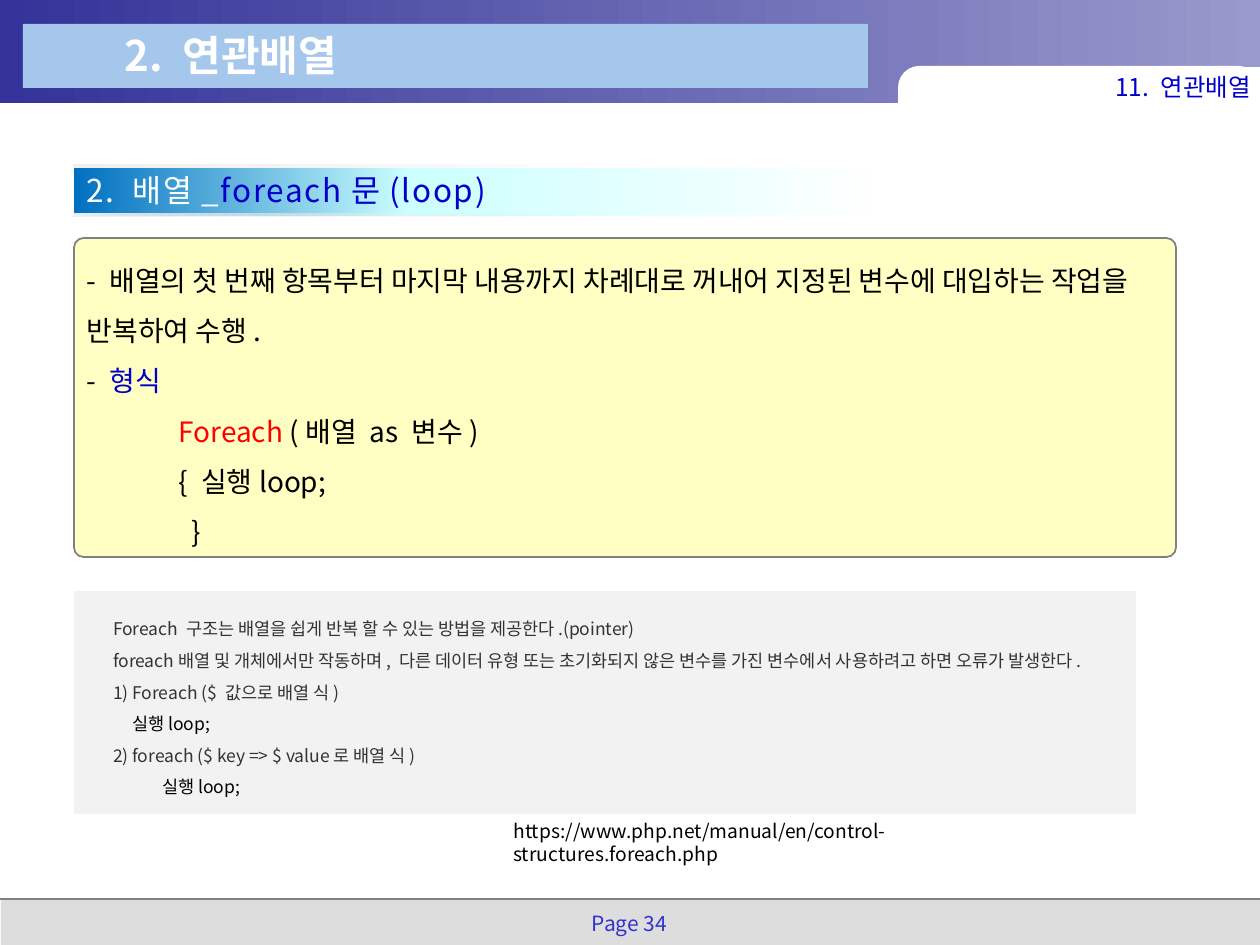
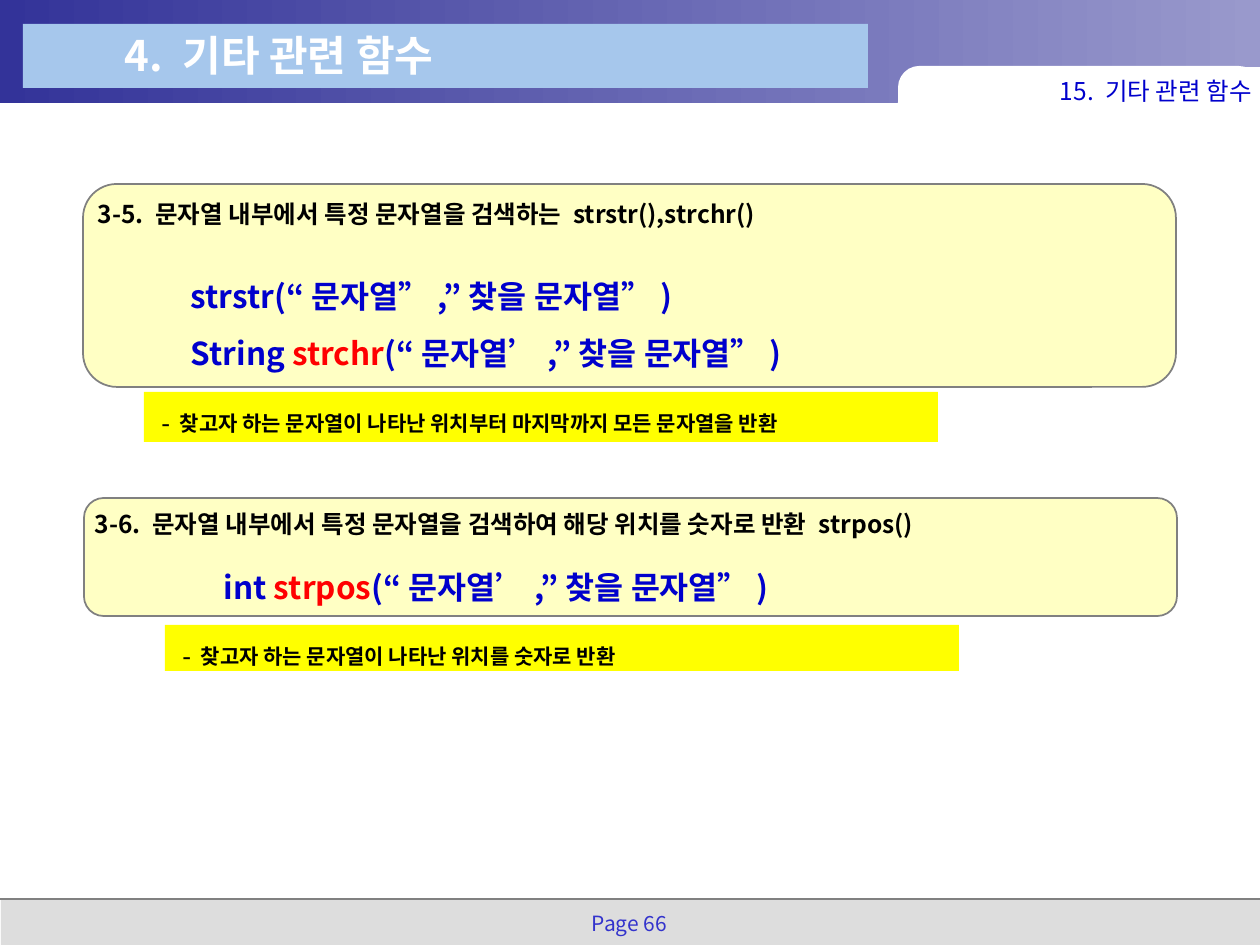
"""Build two lecture slides on associative arrays and string functions."""
import pptx
import pptx.util
import pptx.dml.color
import pptx.enum.shapes
import pptx.enum.text
import pptx.oxml.ns
import lxml.etree

THEME = {
    "font": "Noto Sans CJK KR", "latin": "Cabin",
    "white": "FFFFFF", "black": "000000", "blue": "0000CC", "red": "FF0000",
    "ink": "333333", "page": "3333CC", "foot": "DDDDDD", "rule": "808080",
    "plate": "A6C7EC", "note": "F2F2F2", "yellow": "FFFF00",
    "band": [(0, "333399", 100), (100, "9999CC", 100)],
    "head": [(0, "0070C0", 100), (40, "CCFFFF", 100), (97, "FFFFFF", 100)],
    "edge": [(0, "F0F0F0", 100), (100, "EAEAEA", 0)],
    "title": 24, "topic": 18, "body": 16, "label": 14, "small": 12, "link": 11, "fine": 10,
}

FRAME = [
    ("rect", (1, 900, 1259, 45), "foot"),
    ("rect", (0, 0, 1260, 103), "band"),
    ("round", (898, 66, 362, 74), "white", 0.29),
    ("rect", (1147, 67, 113, 30), "white"),
    ("rect", (23, 24, 845, 64), "plate"),
]

HEAD = {
    "at": (74, 165, 844, 50),
    "bars": [((74, 168, 840, 48), "head"), ((74, 165, 530, 3), "edge"), ((74, 214, 530, 3), "edge")],
    "runs": [("2. 배열_", "white"), ("foreach문(loop)", "blue")],
}

SLIDES = [
    {
        "title": "2. 연관배열", "label": "11. 연관배열", "spot": (1017, 67, 239, 40),
        "page": "Page 34", "head": HEAD,
        "boxes": [
            {"at": (74, 238, 1102, 319), "kind": "round", "fill": "yellow", "clear": 23,
             "bend": 0.03, "size": "body", "lead": 1.5, "pad": 5, "mid": True,
             "text": [
                 {"in": 5, "runs": [("- 배열의 첫 번째 항목부터 마지막 내용까지 차례대로 꺼내어 "
                                     "지정된 변수에 대입하는 작업을 반복하여 수행.", "black")]},
                 {"in": 5, "runs": [("- ", "black"), ("형식", "blue")]},
                 {"in": 97, "runs": [("Foreach", "red"), (" (배열 as 변수)", "black")]},
                 {"in": 97, "runs": [("{ 실행loop;", "black")]},
                 {"in": 110, "runs": [("}", "black")]},
             ]},
            {"at": (74, 591, 1062, 223), "fill": "note", "size": "fine", "lead": 1.5,
             "pad": 0, "mid": True,
             "text": [
                 {"in": 39, "runs": [("Foreach 구조는 배열을 쉽게 반복 할 수 있는 방법을 "
                                      "제공한다.(pointer)", "ink")]},
                 {"in": 39, "runs": [("foreach배열 및 개체에서만 작동하며, 다른 데이터 유형 또는 "
                                      "초기화되지 않은 변수를 가진 변수에서 사용하려고 하면 "
                                      "오류가 발생한다.", "ink")]},
                 {"in": 39, "runs": [("1) Foreach ($ 값으로 배열 식)", "ink")]},
                 {"in": 58, "runs": [("실행loop;", "black")]},
                 {"in": 39, "runs": [("2) foreach ($ key => $ value로 배열 식)", "ink")]},
                 {"in": 88, "runs": [("실행loop;", "black")]},
             ]},
            {"at": (501, 813, 578, 37), "size": "link",
             "text": [{"runs": [("https://www.php.net/manual/en/control-structures.foreach.php",
                                 "black")]}]},
        ],
    },
    {
        "title": "4. 기타 관련 함수", "label": "15. 기타 관련 함수", "spot": (917, 71, 340, 40),
        "page": "Page 66",
        "boxes": [
            {"at": (83, 184, 1093, 203), "kind": "round", "fill": "yellow", "clear": 23,
             "size": "label", "pad": 5, "mid": True, "bold": True,
             "text": [
                 {"runs": [("3-5. 문자열 내부에서 특정 문자열을 검색하는 strstr(),strchr()", "black")]},
                 {"in": 93, "size": "topic", "lead": 1.5, "gap": 17,
                  "runs": [("strstr(“문자열”,”찾을 문자열”)", "blue")]},
                 {"in": 93, "size": "topic", "lead": 1.5,
                  "runs": [("String ", "blue"), ("strchr", "red"),
                           ("(“문자열’,”찾을 문자열”)", "blue")]},
             ]},
            {"at": (84, 498, 1093, 118), "kind": "round", "fill": "yellow", "clear": 23,
             "size": "label", "pad": 5, "mid": True, "bold": True,
             "text": [
                 {"runs": [("3-6. 문자열 내부에서 특정 문자열을 검색하여 해당 위치를 "
                            "숫자로 반환 strpos()", "black")]},
                 {"in": 129, "size": "topic", "gap": 17,
                  "runs": [("int ", "blue"), ("strpos", "red"),
                           ("(“문자열’,”찾을 문자열”)", "blue")]},
             ]},
            {"at": (144, 392, 794, 50), "fill": "yellow", "size": "small", "lead": 1.5,
             "bold": True, "font": "latin",
             "text": [{"in": 5, "runs": [("- 찾고자 하는 문자열이 나타난 위치부터 마지막까지 "
                                          "모든 문자열을 반환", "black")]}]},
            {"at": (165, 625, 794, 46), "fill": "yellow", "size": "small", "lead": 1.5,
             "bold": True, "font": "latin",
             "text": [{"in": 5, "runs": [("- 찾고자 하는 문자열이 나타난 위치를 숫자로 반환",
                                          "black")]}]},
        ],
    },
]

KINDS = {"rect": pptx.enum.shapes.MSO_SHAPE.RECTANGLE,
         "round": pptx.enum.shapes.MSO_SHAPE.ROUNDED_RECTANGLE}
ALIGN = pptx.enum.text.PP_ALIGN
ANCHOR = pptx.enum.text.MSO_ANCHOR
qn = pptx.oxml.ns.qn


def px(num):
    return pptx.util.Emu(round(num * 914400 / 126))


def tint(name):
    return pptx.dml.color.RGBColor.from_string(THEME[name])


def node(base, tag, **attrs):
    return lxml.etree.SubElement(base, qn(tag), {key: str(val) for key, val in attrs.items()})


def blend(shape, stops):
    shape.fill.gradient()
    shape.fill.gradient_angle = 0
    items = shape.fill._xPr.find(".//" + qn("a:gsLst"))
    for item in list(items):
        items.remove(item)
    for pos, shade, alpha in stops:
        color = node(node(items, "a:gs", pos=pos * 1000), "a:srgbClr", val=shade)
        if alpha < 100:
            node(color, "a:alpha", val=alpha * 1000)


def draw(slide, kind, spot, fill, bend=None, clear=None):
    shape = slide.shapes.add_shape(KINDS[kind], *map(px, spot))
    shape.shadow.inherit = False
    if bend is not None:
        shape.adjustments[0] = bend
    if isinstance(THEME[fill], list):
        blend(shape, THEME[fill])
    else:
        shape.fill.solid()
        shape.fill.fore_color.rgb = tint(fill)
    if clear:
        color = shape._element.spPr.find(qn("a:solidFill")).find(qn("a:srgbClr"))
        node(color, "a:alpha", val=clear * 1000)
        shape.line.color.rgb = tint("rule")
        shape.line.width = pptx.util.Pt(1)
    else:
        shape.line.fill.background()
    return shape


def write(shape, box):
    frame = shape.text_frame
    frame.word_wrap = True
    frame.auto_size = pptx.enum.text.MSO_AUTO_SIZE.NONE
    frame.vertical_anchor = ANCHOR.MIDDLE if box.get("mid") else ANCHOR.TOP
    if "pad" in box:
        frame.margin_left = frame.margin_right = px(box["pad"])
        frame.margin_top = frame.margin_bottom = px(box["pad"])
    for rank, part in enumerate(box["text"]):
        para = frame.add_paragraph() if rank else frame.paragraphs[0]
        look = {**box, **part}
        para.alignment = look.get("align", ALIGN.LEFT)
        para.line_spacing = look.get("lead", 1.0)
        if "gap" in part:
            para.space_before = pptx.util.Pt(part["gap"])
        para._p.get_or_add_pPr().set("marL", str(px(look.get("in", 0))))
        font = para.font
        font.size = pptx.util.Pt(THEME[look["size"]])
        font.bold = look.get("bold", False)
        font.color.rgb = tint(part["runs"][0][1])
        font.name = THEME[look.get("font", "font")]
        node(font._element, "a:ea", typeface=THEME["font"])
        for words, shade in part["runs"]:
            run = para.add_run()
            run.text = words
            if len(part["runs"]) > 1:
                run.font.color.rgb = tint(shade)


def label(slide, spot, words, shade, size, **look):
    shape = slide.shapes.add_textbox(*map(px, spot))
    write(shape, {"size": size, "text": [{"runs": [(words, shade)]}], **look})


def draw_frame(slide, data):
    for part in FRAME:
        draw(slide, *part)
    rule = slide.shapes.add_connector(pptx.enum.shapes.MSO_CONNECTOR.STRAIGHT,
                                      px(0), px(899), px(1260), px(899))
    rule.line.color.rgb = tint("rule")
    rule.line.width = pptx.util.Pt(1)
    node(rule._element.spPr, "a:effectLst")
    label(slide, (573, 907, 113, 35), data["page"], "page", "small", align=ALIGN.CENTER, lead=0.9)
    label(slide, data["spot"], data["label"], "blue", "label", align=ALIGN.RIGHT, pad=5, mid=True)
    label(slide, (112, 23, 626, 63), data["title"], "white", "title", bold=True)


def draw_head(slide, head):
    for spot, fill in head["bars"]:
        draw(slide, "rect", spot, fill)
    shape = slide.shapes.add_textbox(*map(px, head["at"]))
    write(shape, {"size": "topic", "text": [{"runs": head["runs"]}]})
    for run in shape.text_frame.paragraphs[0].runs:
        props = run.font._element
        props.set("spc", "100")
        cast = node(node(props, "a:effectLst"), "a:outerShdw", dist=25400, dir=2700000)
        node(cast, "a:srgbClr", val=THEME["black"])


def main():
    deck = pptx.Presentation()
    deck.slide_width, deck.slide_height = px(1260), px(945)
    for data in SLIDES:
        slide = deck.slides.add_slide(deck.slide_layouts[6])
        draw_frame(slide, data)
        if "head" in data:
            draw_head(slide, data["head"])
        for box in data["boxes"]:
            if "fill" in box:
                shape = draw(slide, box.get("kind", "rect"), box["at"], box["fill"],
                             box.get("bend"), box.get("clear"))
            else:
                shape = slide.shapes.add_textbox(*map(px, box["at"]))
            write(shape, box)
    deck.save("out.pptx")


if __name__ == "__main__":
    main()
